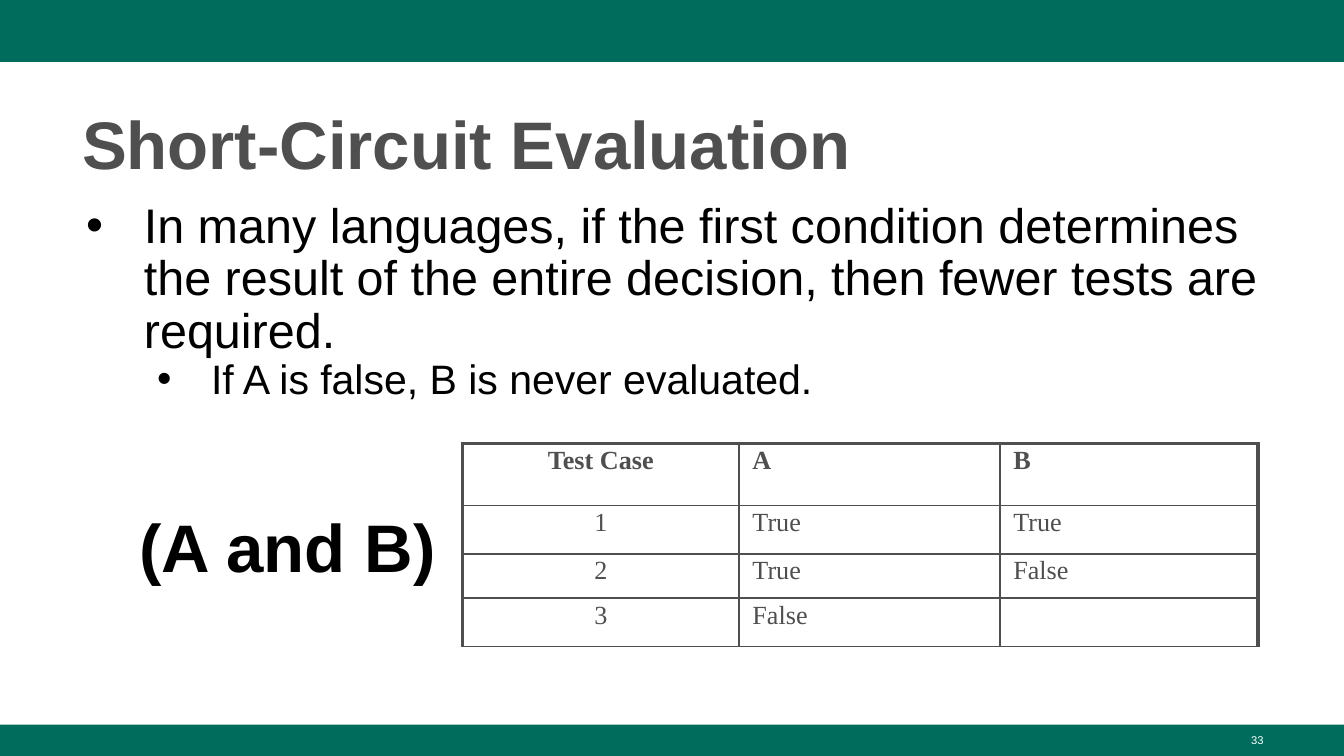
import pptx
import pptx.dml.color
import pptx.enum.shapes
import pptx.enum.text
import pptx.oxml.ns
import pptx.util
from lxml import etree
from pptx.util import Cm

GREEN = pptx.dml.color.RGBColor(0x00, 0x6C, 0x5C)
GRAY = pptx.dml.color.RGBColor(0x4F, 0x4F, 0x4F)
BLACK = pptx.dml.color.RGBColor(0x00, 0x00, 0x00)
WHITE = pptx.dml.color.RGBColor(0xFF, 0xFF, 0xFF)

ALIGN = pptx.enum.text.PP_ALIGN
ANCHOR = pptx.enum.text.MSO_ANCHOR

TEST_CASES = [
    ["Test Case", "A", "B"],
    ["1", "True", "True"],
    ["2", "True", "False"],
    ["3", "False", ""],
]
COLUMN_WIDTHS = [5.23, 4.93, 4.88]
ROW_HEIGHTS = [1.17, 0.91, 0.84, 0.91]
THIN, THICK = 1, 2.25


def write(para, text, size, color=BLACK, font="Arial", bold=False,
          align=ALIGN.LEFT, spacing=1.0):
    para.alignment = align
    para.line_spacing = spacing
    span = para.add_run()
    span.text = text
    span.font.name = font
    span.font.size = pptx.util.Pt(size)
    span.font.bold = bold
    span.font.color.rgb = color


def add_child(parent, tag, **attributes):
    return etree.SubElement(parent, pptx.oxml.ns.qn(tag), attributes)


def add_bullet(para, left, hanging):
    properties = para._p.get_or_add_pPr()
    properties.set("marL", str(Cm(left)))
    properties.set("indent", str(-Cm(hanging)))
    color = add_child(properties, "a:buClr")
    add_child(color, "a:srgbClr", val=str(BLACK))
    add_child(properties, "a:buFont", typeface="Arial")
    add_child(properties, "a:buChar", char="•")


def set_up_frame(frame, insets, anchor=ANCHOR.TOP):
    """Insets are left, top, right and bottom, in centimetres."""
    frame.word_wrap = True
    frame.auto_size = pptx.enum.text.MSO_AUTO_SIZE.NONE
    frame.vertical_anchor = anchor
    (frame.margin_left, frame.margin_top,
     frame.margin_right, frame.margin_bottom) = map(Cm, insets)


def add_band(slide, top, height):
    band = slide.shapes.add_shape(
        pptx.enum.shapes.MSO_SHAPE.RECTANGLE, 0, Cm(top), Cm(25.4), Cm(height))
    band.shadow.inherit = False
    band.fill.solid()
    band.fill.fore_color.rgb = GREEN
    band.line.fill.background()


def add_text_box(slide, left, top, width, height, insets):
    box = slide.shapes.add_textbox(Cm(left), Cm(top), Cm(width), Cm(height))
    set_up_frame(box.text_frame, insets)
    return box.text_frame


def add_title(slide, text):
    title = slide.shapes.title
    title.left, title.top = Cm(1.3), Cm(1.7)
    title.width, title.height = Cm(22.83), Cm(1.85)
    set_up_frame(title.text_frame, (0.25, 0.13, 0.13, 0.13), ANCHOR.MIDDLE)
    write(title.text_frame.paragraphs[0], text, 36, GRAY, bold=True, spacing=1.08)


def add_points(slide):
    frame = add_text_box(slide, 1.3, 3.56, 22.83, 9.68, (0.15, 0.25, 0.25, 0.13))
    point = frame.paragraphs[0]
    add_bullet(point, 1.27, 1.09)
    write(point, "In many languages, if the first condition determines the result "
          "of the entire decision, then fewer tests are required.", 26, spacing=0.9)
    detail = frame.add_paragraph()
    detail.level = 1
    add_bullet(detail, 2.54, 1.02)
    write(detail, "If A is false, B is never evaluated.", 22, spacing=0.9)


def set_borders(cell, **widths):
    """Widths are points, keyed by side in the order L, R, T, B."""
    properties = cell._tc.get_or_add_tcPr()
    for side, width in widths.items():
        line = add_child(properties, "a:ln" + side, w=str(pptx.util.Pt(width)))
        fill = add_child(line, "a:solidFill")
        add_child(fill, "a:srgbClr", val=str(GRAY))


def add_test_table(slide):
    table = slide.shapes.add_table(
        len(TEST_CASES), len(COLUMN_WIDTHS), Cm(8.74), Cm(8.38),
        Cm(sum(COLUMN_WIDTHS)), Cm(sum(ROW_HEIGHTS))).table
    table.first_row = table.horz_banding = False
    for column, width in zip(table.columns, COLUMN_WIDTHS):
        column.width = Cm(width)
    last = len(COLUMN_WIDTHS) - 1
    for r, (row, height) in enumerate(zip(TEST_CASES, ROW_HEIGHTS)):
        table.rows[r].height = Cm(height)
        for c, text in enumerate(row):
            cell = table.cell(r, c)
            cell.margin_left = cell.margin_right = Cm(0.25)
            cell.margin_top = cell.margin_bottom = Cm(0.1)
            set_borders(cell, L=THICK if c == 0 else THIN,
                        R=THICK if c == last else THIN,
                        T=THICK if r == 0 else THIN, B=THIN)
            cell.fill.background()
            write(cell.text_frame.paragraphs[0], text, 14, GRAY, "Times New Roman",
                  bold=r == 0, align=ALIGN.CENTER if c == 0 else ALIGN.LEFT,
                  spacing=0.9)


def main():
    deck = pptx.Presentation()
    deck.slide_width, deck.slide_height = Cm(25.4), Cm(14.28)
    slide = deck.slides.add_slide(deck.slide_layouts.get_by_name("Title Only"))
    add_band(slide, 0, 1.17)
    add_band(slide, 13.69, 0.59)
    add_title(slide, "Short-Circuit Evaluation")
    add_points(slide)
    add_test_table(slide)
    expression = add_text_box(slide, 2.39, 9.3, 6.53, 1.6, (0.25,) * 4)
    write(expression.paragraphs[0], "(A and B)", 36, bold=True)
    number = add_text_box(slide, 18.21, 13.72, 5.92, 0.58, (0.25, 0.13, 0.25, 0.13))
    write(number.paragraphs[0], "33", 6, WHITE, align=ALIGN.RIGHT)
    deck.save("out.pptx")


if __name__ == "__main__":
    main()
